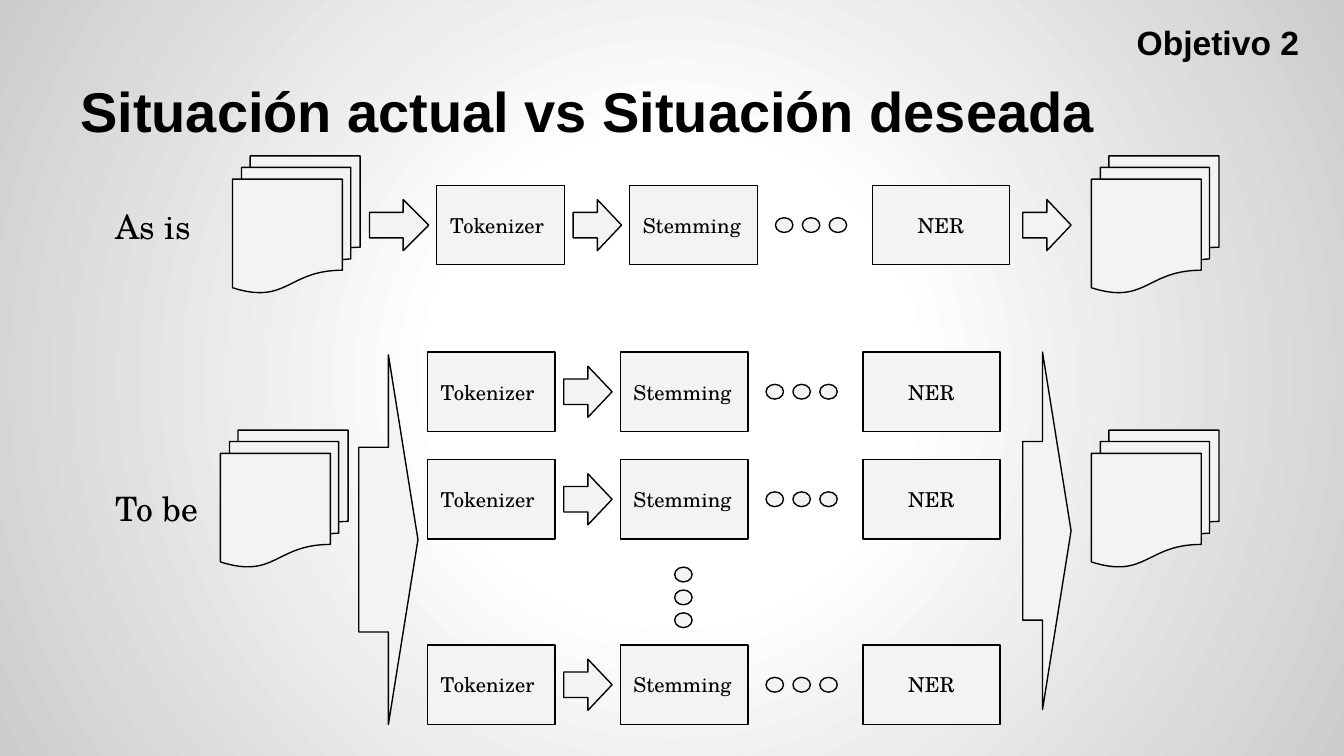
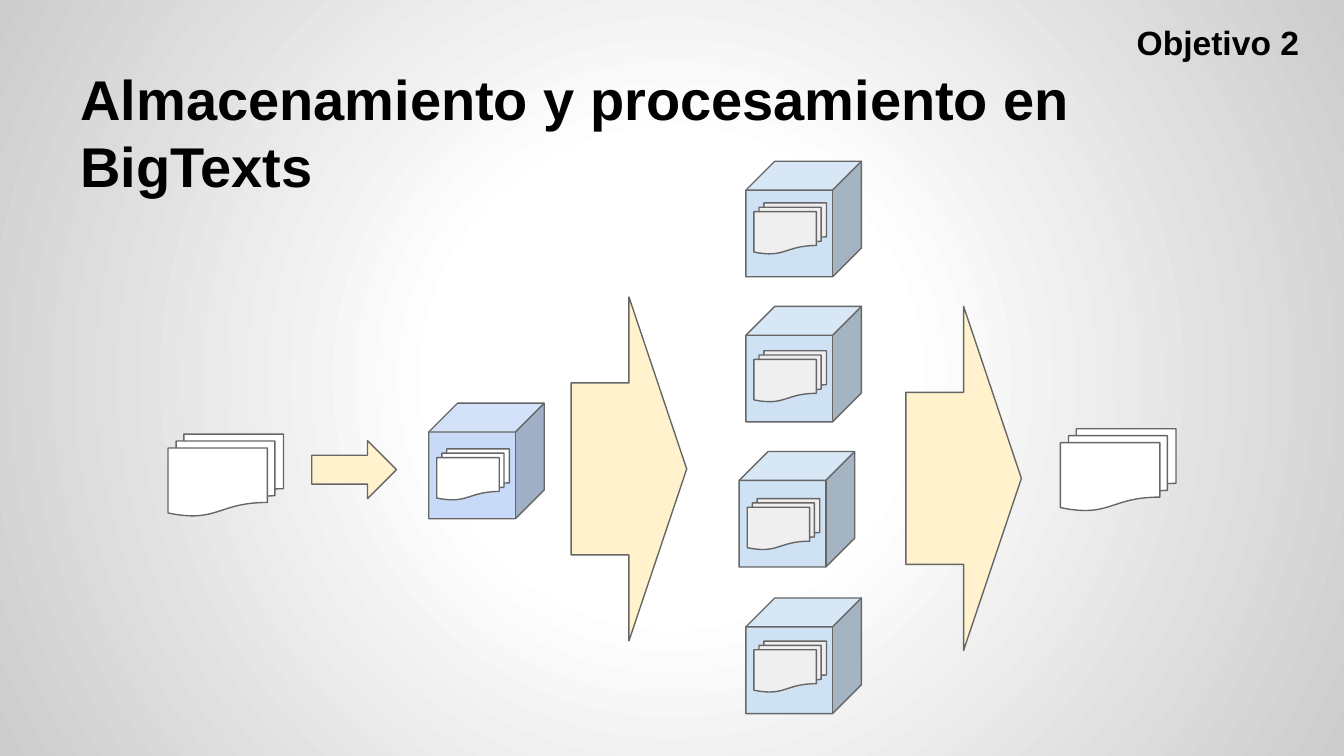
from typing import NamedTuple, Optional

from pptx import Presentation
from pptx.dml.color import RGBColor
from pptx.enum.shapes import MSO_SHAPE
from pptx.enum.text import MSO_ANCHOR, PP_ALIGN
from pptx.oxml import parse_xml
from pptx.oxml.ns import nsdecls
from pptx.shapes.autoshape import Shape
from pptx.slide import Slide
from pptx.util import Emu, Inches, Pt

DOCUMENTS = MSO_SHAPE.FLOWCHART_MULTIDOCUMENT
PROCESS = MSO_SHAPE.FLOWCHART_PROCESS
ARROW = MSO_SHAPE.RIGHT_ARROW
DOT = MSO_SHAPE.OVAL
CUBE = MSO_SHAPE.CUBE
LEFT, CENTER = PP_ALIGN.LEFT, PP_ALIGN.CENTER
TOP, MIDDLE, BOTTOM = MSO_ANCHOR.TOP, MSO_ANCHOR.MIDDLE, MSO_ANCHOR.BOTTOM

# The slide is a grid of 100 columns by 56.25 rows of square cells.
SLIDE_WIDTH, SLIDE_HEIGHT = Inches(10), Inches(5.625)
CELL = SLIDE_WIDTH / 100

BLACK, GREY_LINE = "000000", "666666"
PALE_GREY, WHITE, STORED_GREY = "F3F3F3", "FFFFFF", "EFEFEF"
SOURCE_BLUE, NODE_BLUE, FLOW_YELLOW = "C9DAF8", "CFE2F3", "FFF2CC"
TITLE_FONT, DIAGRAM_FONT = "Arial", "TeX Gyre Schola"
BACKGROUND_STOPS = ((0, "FFFFFF"), (30, "FFFFFF"), (100, "CCCCCC"))


class Box(NamedTuple):
    """A place on the grid, in columns and rows."""
    left: float
    top: float
    width: float
    height: float


class Look(NamedTuple):
    fill: str
    line: str


class TextStyle(NamedTuple):
    size: float
    font: str = DIAGRAM_FONT
    bold: bool = False
    align: PP_ALIGN = LEFT
    anchor: MSO_ANCHOR = TOP


class Step(NamedTuple):
    name: str
    offset: float
    width: float
    align: PP_ALIGN


class Node(NamedTuple):
    left: float
    top: float
    documents_drop: float


PIPELINE_LOOK = Look(PALE_GREY, BLACK)
DOCUMENT_LOOK = Look(WHITE, GREY_LINE)
STORED_LOOK = Look(STORED_GREY, GREY_LINE)
SOURCE_LOOK = Look(SOURCE_BLUE, GREY_LINE)
NODE_LOOK = Look(NODE_BLUE, GREY_LINE)
FLOW_LOOK = Look(FLOW_YELLOW, GREY_LINE)

TITLE_STYLE = TextStyle(30, TITLE_FONT, True, anchor=BOTTOM)
TAG_STYLE = TITLE_STYLE._replace(size=18)
SITUATION_STYLE = TextStyle(18)

STEPS = (
    Step("Tokenizer", 0, 9.5, LEFT),
    Step("Stemming", 14.35, 9.5, LEFT),
    Step("NER", 32.4, 10.2, CENTER),
)
STEP_HEIGHT = 5.9
DOT_WIDTH, DOT_HEIGHT = 1.3, 1.1
ARROW_WIDTH, ARROW_HEIGHT = 3.6, 3.8
PARALLEL_TOPS = (26.2, 34.2, 48)

CUBE_SIDE = 8.6
SOURCE = Node(31.9, 30, 3.4)
NODES = (
    Node(55.5, 12, 3.1),
    Node(55.5, 22.8, 3.3),
    Node(55, 33.6, 3.5),
    Node(55.5, 44.5, 3.2),
)


def color(hex_code: str) -> RGBColor:
    return RGBColor.from_string(hex_code)


def place(box: Box) -> list[Emu]:
    return [Emu(round(cells * CELL)) for cells in box]


def write(shape: Shape, text: str, style: TextStyle) -> None:
    frame = shape.text_frame
    frame.text = text
    frame.word_wrap = True
    frame.vertical_anchor = style.anchor
    frame.margin_left = frame.margin_right = Inches(0.1)
    frame.margin_top = frame.margin_bottom = Inches(0.1)
    paragraph = frame.paragraphs[0]
    paragraph.alignment = style.align
    font = paragraph.runs[0].font
    font.name, font.size, font.bold = style.font, Pt(style.size), style.bold
    font.color.rgb = color(BLACK)


def add_text(slide: Slide, box: Box, text: str, style: TextStyle) -> None:
    write(slide.shapes.add_textbox(*place(box)), text, style)


def add_figure(slide: Slide, kind: MSO_SHAPE, box: Box, look: Look,
               head: Optional[float] = None) -> Shape:
    """Add a preset shape; head is an arrowhead's length as a share of its short side."""
    shape = slide.shapes.add_shape(kind, *place(box))
    shape.shadow.inherit = False
    shape.fill.solid()
    shape.fill.fore_color.rgb = color(look.fill)
    shape.line.color.rgb = color(look.line)
    shape.line.width = Pt(0.75)
    if head is not None:
        shape.adjustments[1] = head
    return shape


def add_dots(slide: Slide, left: float, top: float,
             step_x: float = 0, step_y: float = 0) -> None:
    for i in range(3):
        dot = Box(left + i * step_x, top + i * step_y, DOT_WIDTH, DOT_HEIGHT)
        add_figure(slide, DOT, dot, PIPELINE_LOOK)


def add_step_arrow(slide: Slide, left: float, row_top: float) -> None:
    add_figure(slide, ARROW, Box(left, row_top + 1.05, ARROW_WIDTH, ARROW_HEIGHT),
               PIPELINE_LOOK)


def add_pipeline(slide: Slide, left: float, top: float) -> None:
    for step in STEPS:
        box = Box(left + step.offset, top, step.width, STEP_HEIGHT)
        process = add_figure(slide, PROCESS, box, PIPELINE_LOOK)
        write(process, step.name, TextStyle(11, align=step.align, anchor=MIDDLE))
    add_step_arrow(slide, left + 10.15, top)
    add_dots(slide, left + 25.2, top + 2.4, step_x=2)


def add_storage(slide: Slide, node: Node, cube: Look, documents: Look) -> None:
    add_figure(slide, CUBE, Box(node.left, node.top, CUBE_SIDE, CUBE_SIDE), cube)
    stored = Box(node.left + 0.6, node.top + node.documents_drop, 5.4, 3.8)
    add_figure(slide, DOCUMENTS, stored, documents)


def set_background(slide: Slide) -> None:
    stops = "".join(
        f'<a:gs pos="{share * 1000}"><a:srgbClr val="{shade}"/></a:gs>'
        for share, shade in BACKGROUND_STOPS)
    slide.element.cSld.insert(0, parse_xml(
        f'<p:bg {nsdecls("p", "a")}><p:bgPr><a:gradFill rotWithShape="0">'
        f'<a:gsLst>{stops}</a:gsLst><a:path path="circle">'
        '<a:fillToRect l="50000" t="50000" r="50000" b="50000"/></a:path>'
        '</a:gradFill><a:effectLst/></p:bgPr></p:bg>'))


def start_slide(prs: Presentation, title: str, title_top: float) -> Slide:
    """Add a slide with the shared background, title and objective tag."""
    slide = prs.slides.add_slide(prs.slide_layouts[6])
    set_background(slide)
    add_text(slide, Box(5, title_top, 90, 9.4), title, TITLE_STYLE)
    add_text(slide, Box(83.6, 0, 16.4, 5.6), "Objetivo 2", TAG_STYLE)
    return slide


def build_situations(prs: Presentation) -> None:
    slide = start_slide(prs, "Situación actual vs Situación deseada", 2.3)
    for text, top in (("As is", 14.3), ("To be", 35.3)):
        add_text(slide, Box(7.6, top, 8.8, 5), text, SITUATION_STYLE)
    for left, top in ((17.3, 11.6), (81.2, 11.6), (16.4, 32), (81.2, 32)):
        add_figure(slide, DOCUMENTS, Box(left, top, 9.5, 10.2), PIPELINE_LOOK)

    add_figure(slide, ARROW, Box(27.5, 14.85, 4.4, ARROW_HEIGHT), PIPELINE_LOOK)
    add_pipeline(slide, 32.5, 13.8)
    add_step_arrow(slide, 76.1, 13.8)

    add_figure(slide, ARROW, Box(26.7, 26.4, 4.4, 27.5), PIPELINE_LOOK)
    for top in PARALLEL_TOPS:
        add_pipeline(slide, 31.8, top)
    add_dots(slide, 50.2, 42.2, step_y=1.7)
    add_figure(slide, ARROW, Box(76.1, 26.2, ARROW_WIDTH, 26.6), PIPELINE_LOOK, head=0.59)


def build_storage(prs: Presentation) -> None:
    slide = start_slide(prs, "Almacenamiento y procesamiento en BigTexts", 6.4)
    for left, top in ((12.5, 32.3), (78.9, 31.9)):
        add_figure(slide, DOCUMENTS, Box(left, top, 8.6, 6.1), DOCUMENT_LOOK)
    add_storage(slide, SOURCE, SOURCE_LOOK, DOCUMENT_LOOK)
    for node in NODES:
        add_storage(slide, node, NODE_LOOK, STORED_LOOK)
    for flow in (Box(23.2, 32.8, 6.3, 4.3), Box(42.5, 22.1, 8.6, 25.6),
                 Box(67.4, 22.8, 8.6, 25.6)):
        add_figure(slide, ARROW, flow, FLOW_LOOK)


def main() -> None:
    prs = Presentation()
    prs.slide_width, prs.slide_height = SLIDE_WIDTH, SLIDE_HEIGHT
    build_situations(prs)
    build_storage(prs)
    prs.save("out.pptx")


if __name__ == "__main__":
    main()
